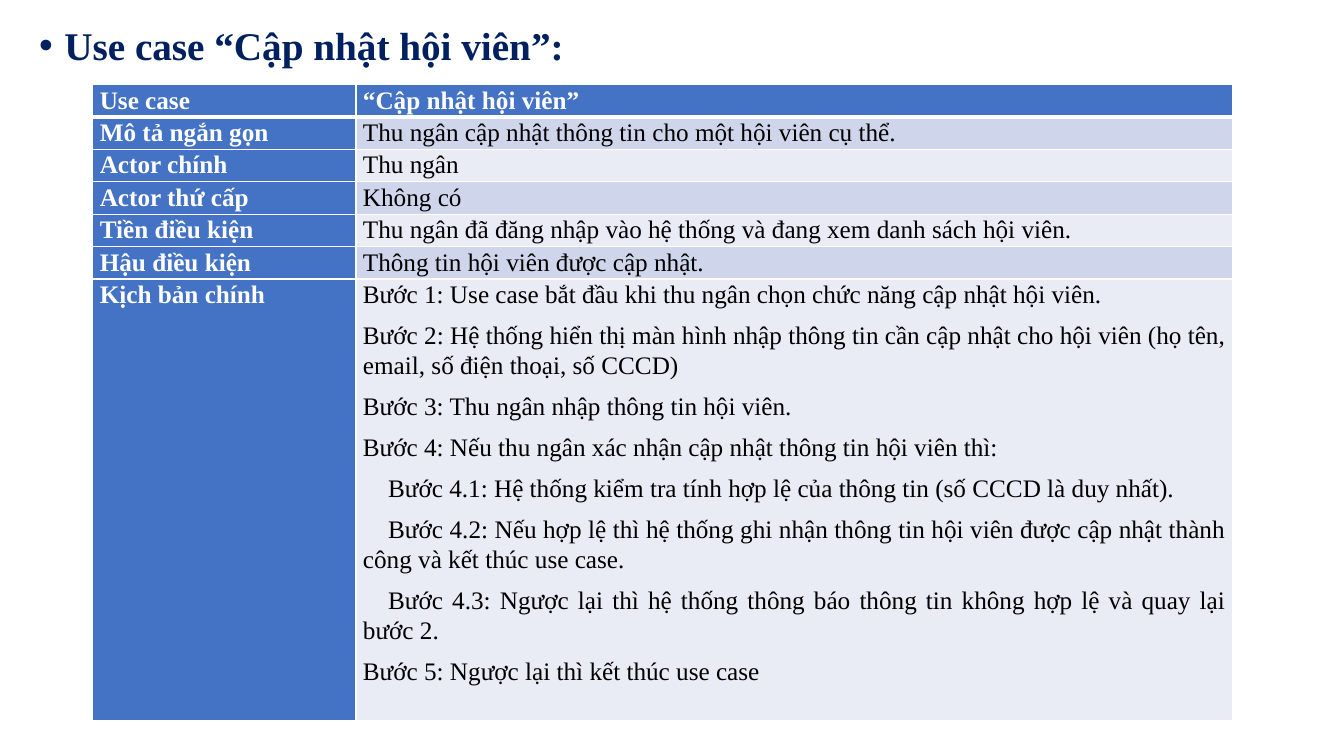
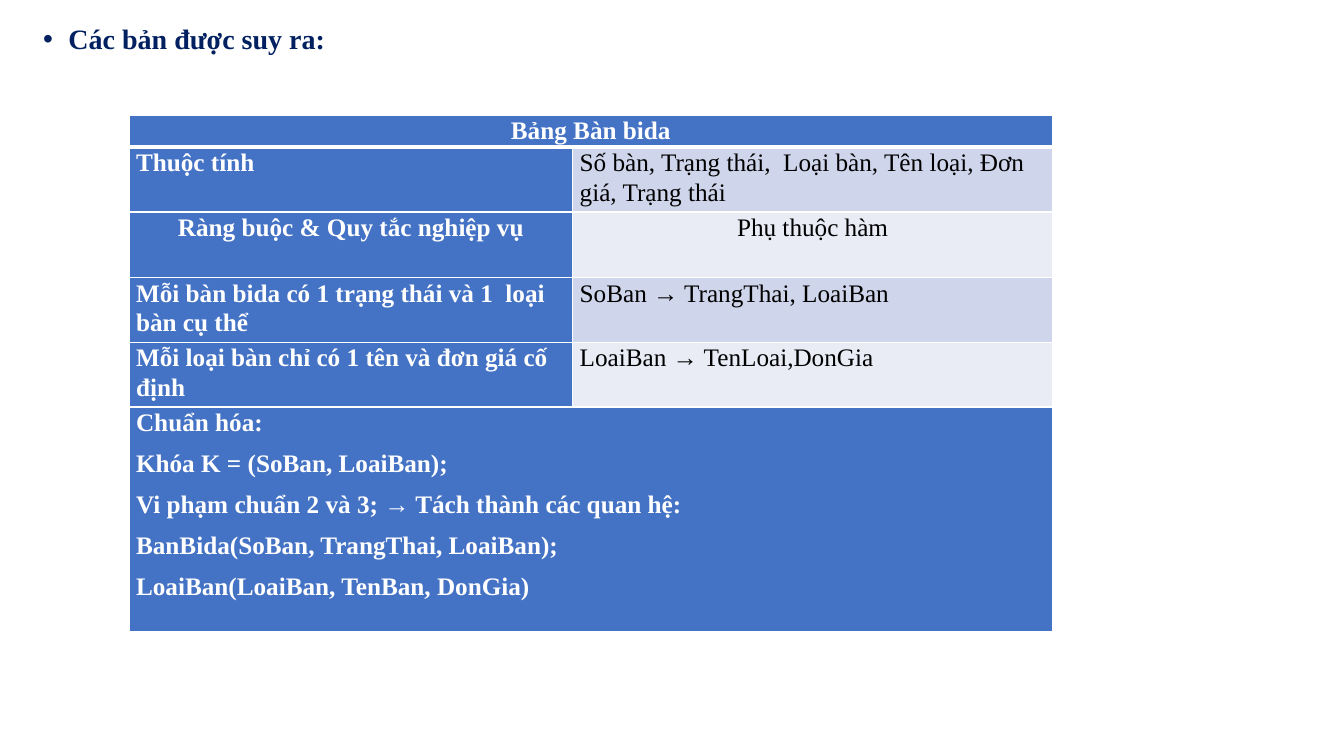
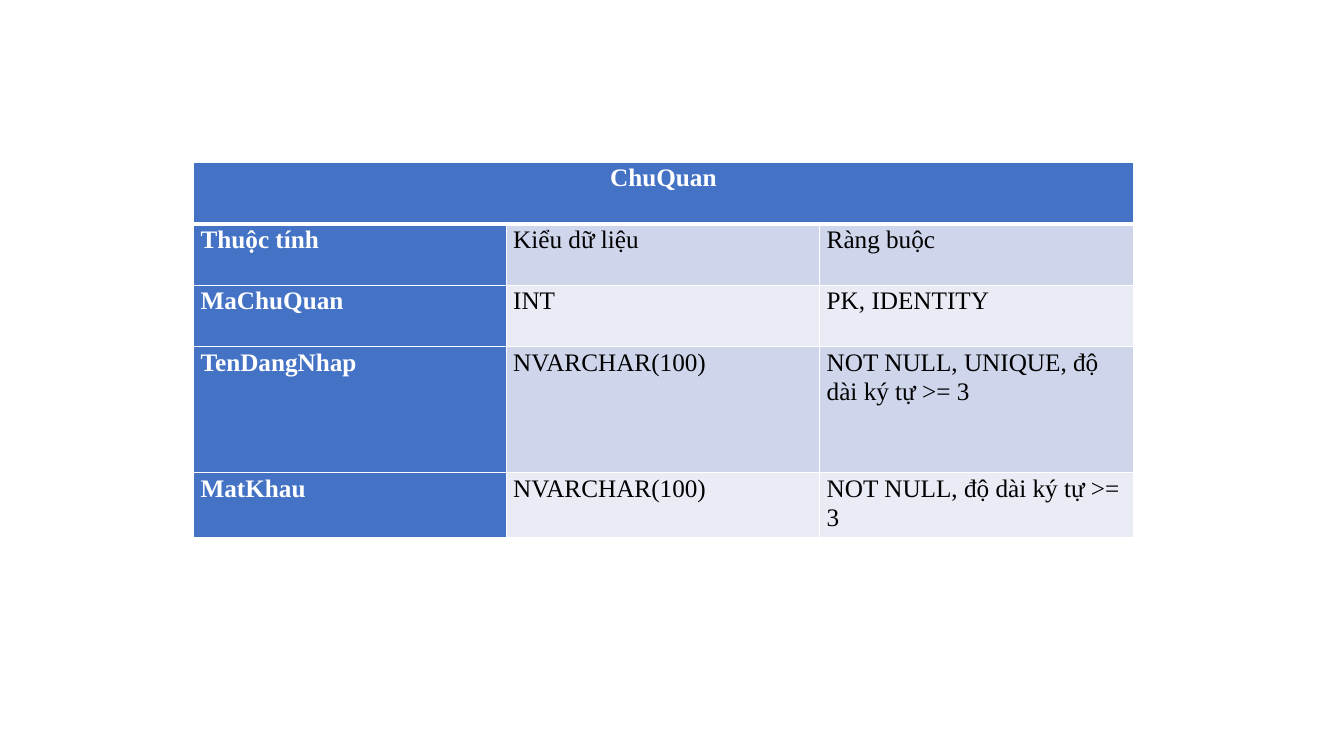
from lxml.etree import SubElement as Sub
from pptx import Presentation
from pptx.dml.color import RGBColor as RGB
from pptx.enum.text import PP_ALIGN as Align
from pptx.oxml.ns import qn
from pptx.util import Inches, Pt

HUES = {"title": "002060", "head": "4472C4", "odd": "CFD5EA",
        "even": "E9EBF5", "white": "FFFFFF", "black": "000000"}


class Deck:
    face = "Times New Roman"

    def __init__(self):
        self.prs = Presentation()
        self.prs.slide_width = Inches(13.33)
        self.prs.slide_height = Inches(7.5)
        self.slide = None

    def page(self):
        self.slide = self.prs.slides.add_slide(self.prs.slide_layouts[6])

    def style(self, para, size, hue, bold):
        font = para.font
        font.name = self.face
        font.size = Pt(size)
        font.bold = bold
        font.color.rgb = RGB.from_string(HUES[hue])

    def title(self, text, box, size):
        frame = self.slide.shapes.add_textbox(*map(Inches, box)).text_frame
        frame.word_wrap = True
        para = frame.paragraphs[0]
        para.text = text
        para.line_spacing = 0.9
        props = para._p.get_or_add_pPr()
        props.set("marL", str(Inches(0.25)))
        props.set("indent", str(Inches(-0.25)))
        Sub(props, qn("a:buFont"), typeface="Arial")
        Sub(props, qn("a:buChar"), char="•")
        self.style(para, size, "title", True)

    def edges(self, cell, row):
        props = cell._tc.get_or_add_tcPr()
        thick = {"lnT": row == 1, "lnB": row == 0}
        for side in ("lnL", "lnR", "lnT", "lnB"):
            width = 3 if thick.get(side) else 1
            line = Sub(props, qn(f"a:{side}"), w=str(Pt(width)))
            fill = Sub(line, qn("a:solidFill"))
            Sub(fill, qn("a:srgbClr"), val=HUES["white"])

    def label(self, cell, text, head, align):
        frame = cell.text_frame
        for i, line in enumerate(text.split("\n")):
            para = frame.add_paragraph() if i else frame.paragraphs[0]
            para.text = line.strip()
            para.alignment = align
            para.line_spacing = 1.07
            para.space_after = Pt(8)
            if line.startswith("\t"):
                para._p.get_or_add_pPr().set("indent", str(Inches(0.25)))
            self.style(para, 18, "white" if head else "black", head)

    def table(self, left, top, cols, highs, rows, align=Align.LEFT, mid=()):
        box = (left, top, sum(cols), sum(highs))
        grid = self.slide.shapes.add_table(
            len(rows), len(cols), *map(Inches, box)).table
        grid.first_col = True
        for col, width in zip(grid.columns, cols):
            col.width = Inches(width)
        for r, texts in enumerate(rows):
            grid.rows[r].height = Inches(highs[r])
            if len(texts) < len(cols):
                grid.cell(r, 0).merge(grid.cell(r, len(cols) - 1))
            for c in range(len(cols)):
                cell = grid.cell(r, c)
                head = r == 0 or c == 0
                cell.margin_left = cell.margin_right = Inches(0.07)
                cell.margin_top = cell.margin_bottom = 0
                self.edges(cell, r)
                band = "head" if head else "odd" if r % 2 else "even"
                cell.fill.solid()
                cell.fill.fore_color.rgb = RGB.from_string(HUES[band])
                if c < len(texts):
                    self.label(cell, texts[c], head,
                               Align.CENTER if r in mid else align)


STEPS = "\n".join([
    "Bước 1: Use case bắt đầu khi thu ngân chọn chức năng cập nhật hội viên.",
    "Bước 2: Hệ thống hiển thị màn hình nhập thông tin cần cập nhật cho hội viên "
    "(họ tên, email, số điện thoại, số CCCD)",
    "Bước 3: Thu ngân nhập thông tin hội viên.",
    "Bước 4: Nếu thu ngân xác nhận cập nhật thông tin hội viên thì:",
    "\tBước 4.1: Hệ thống kiểm tra tính hợp lệ của thông tin (số CCCD là duy nhất).",
    "\tBước 4.2: Nếu hợp lệ thì hệ thống ghi nhận thông tin hội viên được cập nhật "
    "thành công và kết thúc use case.",
    "\tBước 4.3: Ngược lại thì hệ thống thông báo thông tin không hợp lệ và quay lại "
    "bước 2.",
    "Bước 5: Ngược lại thì kết thúc use case",
])

NORMAL = "\n".join([
    "Chuẩn hóa:",
    "Khóa K = (SoBan, LoaiBan);",
    "Vi phạm chuẩn 2 và 3; → Tách thành các quan hệ:",
    "BanBida(SoBan, TrangThai, LoaiBan);",
    "LoaiBan(LoaiBan, TenBan, DonGia)",
])


def main():
    deck = Deck()

    deck.page()
    deck.title("Use case “Cập nhật hội viên”:", (0.29, 0.21, 12.13, 6.58), 28)
    deck.table(0.92, 0.84, [2.61, 8.7], [0.31] * 6 + [4.38], [
        ["Use case", "“Cập nhật hội viên”"],
        ["Mô tả ngắn gọn", "Thu ngân cập nhật thông tin cho một hội viên cụ thể."],
        ["Actor chính", "Thu ngân"],
        ["Actor thứ cấp", "Không có"],
        ["Tiền điều kiện",
         "Thu ngân đã đăng nhập vào hệ thống và đang xem danh sách hội viên."],
        ["Hậu điều kiện", "Thông tin hội viên được cập nhật."],
        ["Kịch bản chính", STEPS],
    ], align=Align.JUSTIFY)

    deck.page()
    deck.title("Các bản được suy ra:", (0.33, 0.2, 12.09, 6.56), 20)
    deck.table(1.28, 1.14, [4.4, 4.76], [0.3, 0.62, 0.65, 0.62, 0.62, 2.23], [
        ["Bảng Bàn bida"],
        ["Thuộc tính",
         "Số bàn, Trạng thái,  Loại bàn, Tên loại, Đơn giá, Trạng thái"],
        ["Ràng buộc & Quy tắc nghiệp vụ", "Phụ thuộc hàm"],
        ["Mỗi bàn bida có 1 trạng thái và 1  loại bàn cụ thể",
         "SoBan → TrangThai, LoaiBan"],
        ["Mỗi loại bàn chỉ có 1 tên và đơn giá cố định",
         "LoaiBan → TenLoai,DonGia"],
        [NORMAL],
    ], mid=(0, 2))

    deck.page()
    deck.table(1.92, 1.61, [3.1, 3.11, 3.11], [0.61, 0.61, 0.61, 1.25, 0.61], [
        ["ChuQuan"],
        ["Thuộc tính", "Kiểu dữ liệu", "Ràng buộc"],
        ["MaChuQuan", "INT", "PK, IDENTITY"],
        ["TenDangNhap", "NVARCHAR(100)", "NOT NULL, UNIQUE, độ dài ký tự >= 3"],
        ["MatKhau", "NVARCHAR(100)", "NOT NULL, độ dài ký tự >= 3"],
    ], mid=(0,))

    deck.prs.save("out.pptx")


if __name__ == "__main__":
    main()
